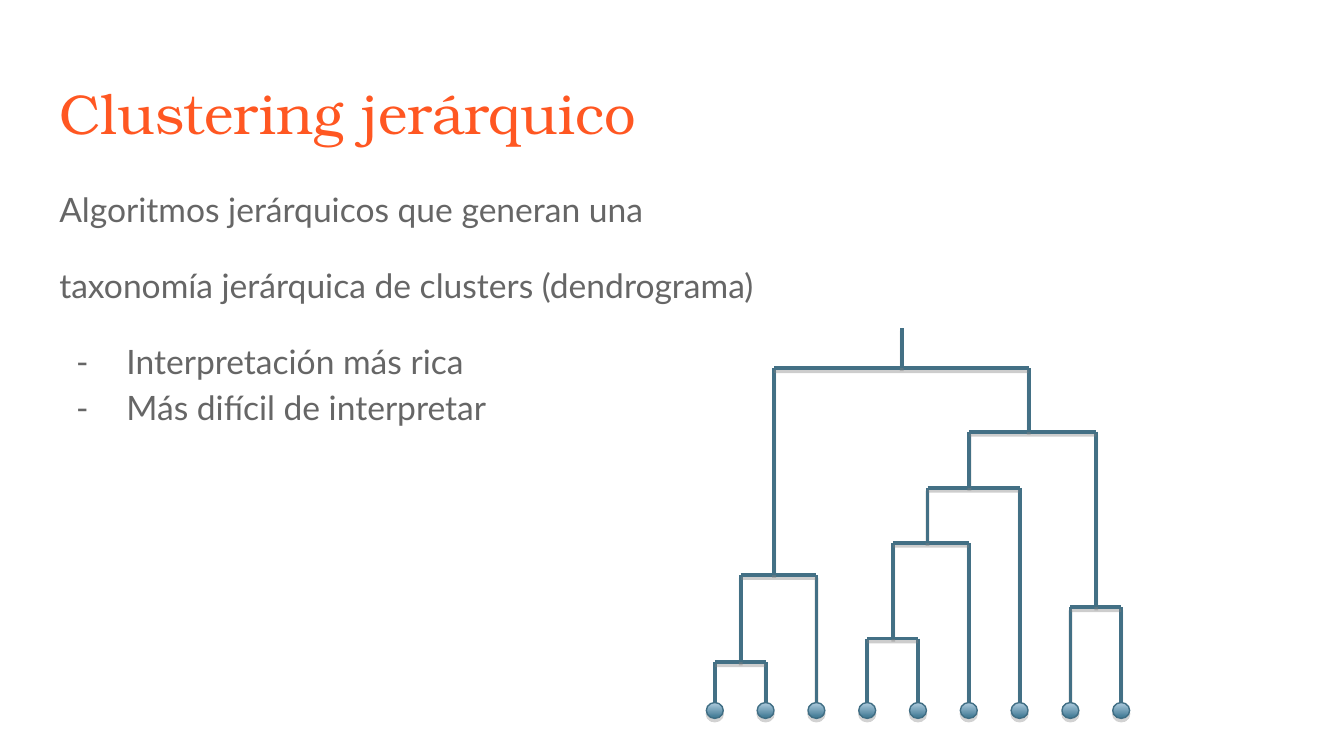
from lxml.etree import SubElement
from pptx import Presentation
from pptx.dml.color import RGBColor
from pptx.enum.shapes import MSO_CONNECTOR, MSO_SHAPE
from pptx.enum.text import MSO_ANCHOR, MSO_AUTO_SIZE, PP_ALIGN
from pptx.oxml import parse_xml
from pptx.oxml.ns import nsdecls, qn
from pptx.util import Cm, Pt

ORANGE = RGBColor(0xFF, 0x57, 0x22)
GRAY = RGBColor(0x66, 0x66, 0x66)
BRANCH = RGBColor(0x43, 0x70, 0x85)
LEAF_EDGE = RGBColor(0x40, 0x6E, 0x84)
LEAF_TOP = RGBColor(0xAF, 0xCC, 0xDF)
LEAF_BOTTOM = RGBColor(0x39, 0x74, 0x8F)
SHADOW = RGBColor(0x80, 0x80, 0x80)

# Leaves of the dendrogram, in cm
LEAF_COUNT, LEAF_X, LEAF_Y, LEAF_STEP = 9, 13.51, 13.28, 0.96
LEAF_W, LEAF_H = 0.32, 0.3
ROOT_TOP = 6.2

# Merges: left node, right node, stem x, bar y; each one becomes the next node
MERGES = [
    (0, 1, 14.0, 12.52),    # node 9
    (3, 4, 16.88, 12.07),   # node 10
    (7, 8, 20.72, 11.48),   # node 11
    (9, 2, 14.63, 10.87),   # node 12
    (10, 5, 17.53, 10.26),  # node 13
    (13, 6, 18.32, 9.22),   # node 14
    (14, 11, 19.44, 8.16),  # node 15
    (12, 15, 17.04, 6.96),  # root
]


class SlideBuilder:
    title_font, body_font = "TeX Gyre Bonum", "Lato"

    def __init__(self, prs):
        self.s = prs.slides.add_slide(prs.slide_layouts[1])

    def place(self, sp, x, y, w, h, text):
        sp.left, sp.top, sp.width, sp.height = Cm(x), Cm(y), Cm(w), Cm(h)
        tf = sp.text_frame
        tf.text = text
        tf.word_wrap = True
        tf.auto_size = MSO_AUTO_SIZE.NONE
        tf.vertical_anchor = MSO_ANCHOR.TOP
        tf.margin_left = tf.margin_right = Cm(0.25)
        tf.margin_top = tf.margin_bottom = Cm(0.25)
        return tf

    def format_runs(self, p, font, size, color):
        p.alignment = PP_ALIGN.LEFT
        for r in p.runs:
            r.font.name, r.font.size = font, Pt(size)
            r.font.color.rgb = color

    def title(self, text, x, y, w, h):
        tf = self.place(self.s.shapes.title, x, y, w, h, text)
        self.format_runs(tf.paragraphs[0], self.title_font, 30, ORANGE)

    def body(self, intro, items, x, y, w, h):
        lines = intro + items
        tf = self.place(self.s.placeholders[1], x, y, w, h, "\n".join(lines))
        for i, p in enumerate(tf.paragraphs):
            self.format_runs(p, self.body_font, 18, GRAY)
            p.line_spacing = 1.15
            p.space_before = Pt(16 if i <= len(intro) else 0)
            p.space_after = Pt(0)
            self.bullet(p, "-" if i >= len(intro) else None)

    def bullet(self, p, char):
        pPr = p._p.get_or_add_pPr()
        pPr.set("marL", str(Cm(1.27) if char else 0))
        pPr.set("indent", str(Cm(-0.95) if char else 0))
        if char:
            color = SubElement(pPr, qn("a:buClr"))
            SubElement(color, qn("a:srgbClr"), val=str(GRAY))
            SubElement(pPr, qn("a:buFont"), typeface=self.body_font)
            SubElement(pPr, qn("a:buChar"), char=char)
        else:
            SubElement(pPr, qn("a:buNone"))

    def shadow(self, sp, distance, opacity):
        sp._element.spPr.append(parse_xml(
            f'<a:effectLst {nsdecls("a")}><a:outerShdw blurRad="0" '
            f'dist="{Pt(distance)}" dir="5400000" rotWithShape="0">'
            f'<a:srgbClr val="{SHADOW}"><a:alpha val="{opacity * 1000}"/>'
            '</a:srgbClr></a:outerShdw></a:effectLst>'))

    def branch(self, x1, y1, x2, y2):
        line = self.s.shapes.add_connector(
            MSO_CONNECTOR.STRAIGHT, Cm(x1), Cm(y1), Cm(x2), Cm(y2))
        line.line.color.rgb = BRANCH
        line.line.width = Pt(2)
        self.shadow(line, 1.6, 38)

    def leaf(self, x, y):
        sp = self.s.shapes.add_shape(
            MSO_SHAPE.OVAL, Cm(x - LEAF_W / 2), Cm(y), Cm(LEAF_W), Cm(LEAF_H))
        sp.fill.gradient()
        sp.fill.gradient_angle = 270
        for stop, color in zip(sp.fill.gradient_stops, (LEAF_TOP, LEAF_BOTTOM)):
            stop.color.rgb = color
        sp.line.color.rgb = LEAF_EDGE
        sp.line.width = Pt(0.75)
        self.shadow(sp, 1.8, 35)

    def dendrogram(self):
        leaves = [(LEAF_X + i * LEAF_STEP, LEAF_Y) for i in range(LEAF_COUNT)]
        nodes = list(leaves)
        for left, right, stem_x, bar_y in MERGES:
            for x, y in (nodes[left], nodes[right]):
                self.branch(x, bar_y, x, y)
            self.branch(nodes[left][0], bar_y, nodes[right][0], bar_y)
            nodes.append((stem_x, bar_y))
        root_x, root_y = nodes[-1]
        self.branch(root_x, ROOT_TOP, root_x, root_y)
        for x, y in leaves:
            self.leaf(x, y)


def main():
    prs = Presentation()
    prs.slide_width, prs.slide_height = Cm(25.4), Cm(14.29)
    slide = SlideBuilder(prs)

    # Title and list
    slide.title("Clustering jerárquico", 0.87, 1.24, 23.67, 1.6)
    slide.body(
        ["Algoritmos jerárquicos que generan una",
         "taxonomía jerárquica de clusters (dendrograma)"],
        ["Interpretación más rica", "Más difícil de interpretar"],
        0.87, 3.2, 23.67, 9.5)

    # Tree of merges
    slide.dendrogram()
    prs.save("out.pptx")


if __name__ == "__main__":
    main()
